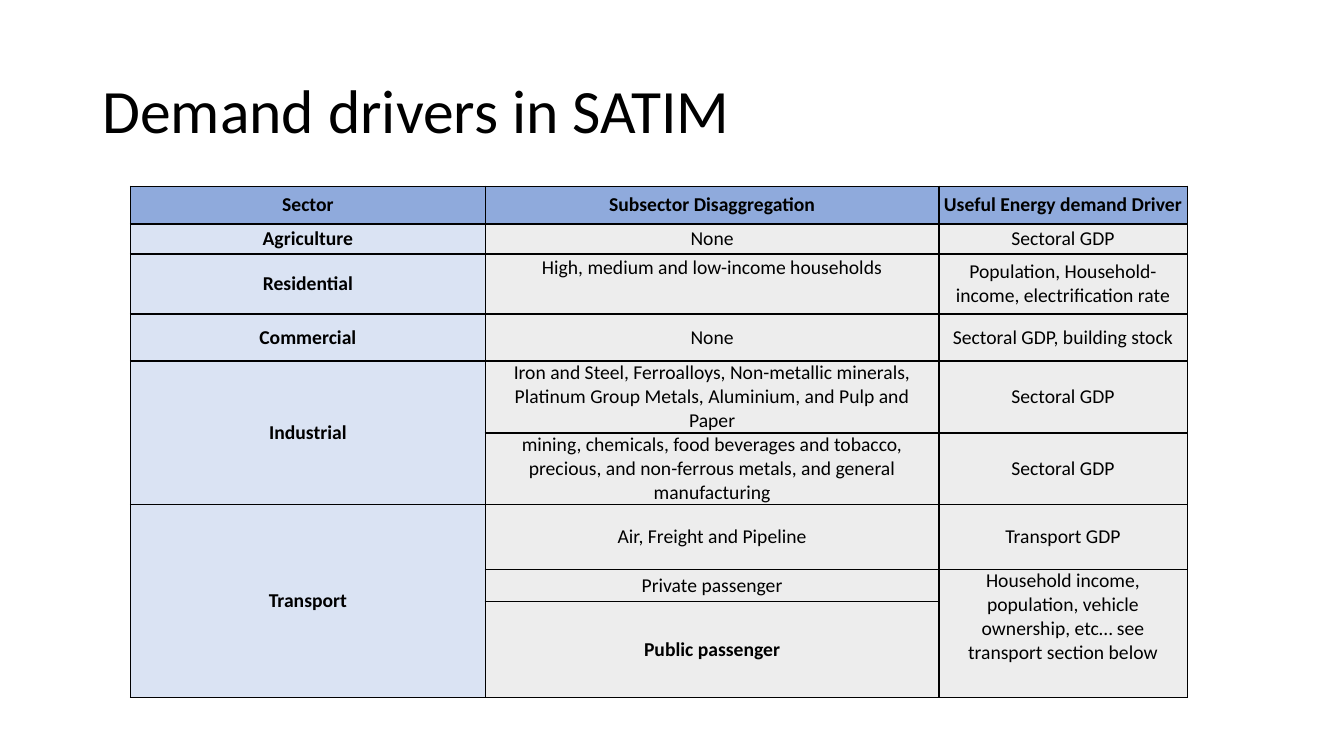
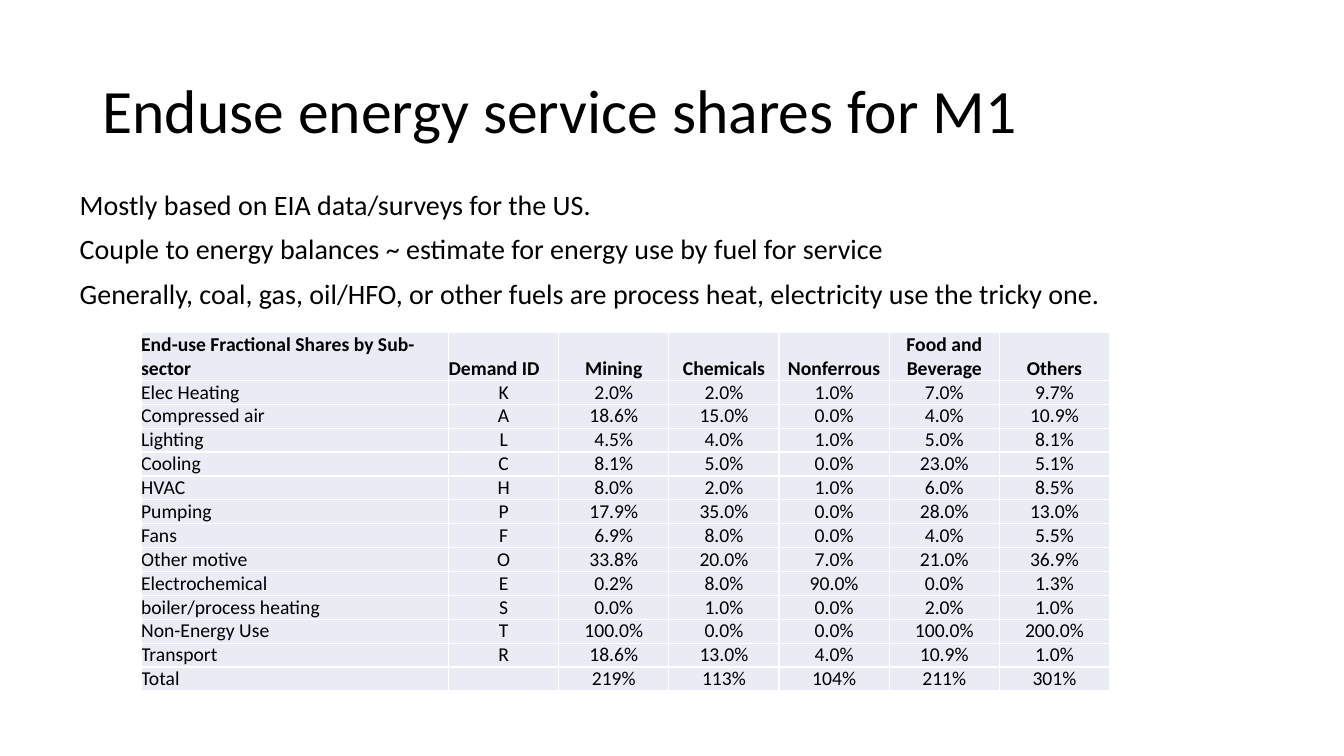
import pptx
import pptx.util
import pptx.dml.color
import pptx.enum.text
import pptx.oxml
import pptx.oxml.ns

Pt = pptx.util.Pt
ALIGN = pptx.enum.text.PP_ALIGN
ANCHOR = pptx.enum.text.MSO_ANCHOR

# Shared style
FONT = "Calibri"
COLORS = {
    "text": "000000",
    "header": "8FAADC",
    "sector": "DAE3F3",
    "detail": "EDEDED",
    "share": "E9EBF5",
    "grid": "000000",
    "share_grid": "FFFFFF",
}
TITLE_BOX = (66, 28.8, 828, 104.4)
TITLE_SIZE, BODY_SIZE, TABLE_SIZE = 44, 20, 14

# Slide 1 content: None marks a cell covered by the one above
DRIVERS_TITLE = "Demand drivers in SATIM"
DRIVERS = [
    ("Sector", "Subsector Disaggregation", "Useful Energy demand Driver"),
    ("Agriculture", "None", "Sectoral GDP"),
    ("Residential", "High, medium and low-income households",
     "Population, Household-income, electriﬁcation rate"),
    ("Commercial", "None", "Sectoral GDP, building stock"),
    ("Industrial",
     "Iron and Steel, Ferroalloys, Non-metallic minerals, Platinum Group Metals, "
     "Aluminium, and Pulp and Paper", "Sectoral GDP"),
    (None,
     "mining, chemicals, food beverages and tobacco, precious, and non-ferrous metals, "
     "and general manufacturing", "Sectoral GDP"),
    ("Transport", "Air, Freight and Pipeline", "Transport GDP"),
    (None, "Private passenger",
     "Household income, population, vehicle ownership, etc… see transport section below"),
    (None, "Public passenger", None),
]
DRIVER_COLS = [253.5, 324, 177.3]
DRIVER_ROWS = [27, 21.5, 42.8, 33.7, 51.4, 51, 46.2, 23, 68.5]
TOP_ANCHORED = {(2, 1): 1.3, (7, 2): 0}  # (row, column): top margin

# Slide 2 content
SHARES_TITLE = "Enduse energy service shares for M1"
SHARES_NOTES = [
    "Mostly based on EIA data/surveys for the US.",
    "Couple to energy balances ~ estimate for energy use by fuel for service",
    "Generally, coal, gas, oil/HFO, or other fuels are process heat, "
    "electricity use the tricky one.",
]
SHARES = [
    ("End-use Fractional Shares by Sub-sector", "Demand ID", "Mining", "Chemicals",
     "Nonferrous", "Food and Beverage", "Others"),
    ("Elec Heating", "K", "2.0%", "2.0%", "1.0%", "7.0%", "9.7%"),
    ("Compressed air", "A", "18.6%", "15.0%", "0.0%", "4.0%", "10.9%"),
    ("Lighting", "L", "4.5%", "4.0%", "1.0%", "5.0%", "8.1%"),
    ("Cooling", "C", "8.1%", "5.0%", "0.0%", "23.0%", "5.1%"),
    ("HVAC", "H", "8.0%", "2.0%", "1.0%", "6.0%", "8.5%"),
    ("Pumping", "P", "17.9%", "35.0%", "0.0%", "28.0%", "13.0%"),
    ("Fans", "F", "6.9%", "8.0%", "0.0%", "4.0%", "5.5%"),
    ("Other motive", "O", "33.8%", "20.0%", "7.0%", "21.0%", "36.9%"),
    ("Electrochemical", "E", "0.2%", "8.0%", "90.0%", "0.0%", "1.3%"),
    ("boiler/process heating", "S", "0.0%", "1.0%", "0.0%", "2.0%", "1.0%"),
    ("Non-Energy Use", "T", "100.0%", "0.0%", "0.0%", "100.0%", "200.0%"),
    ("Transport", "R", "18.6%", "13.0%", "4.0%", "10.9%", "1.0%"),
    ("Total", "", "219%", "113%", "104%", "211%", "301%"),
]
SHARE_COLS = [219.6] + [78.7] * 6
SHARE_ROWS = [34] + [17] * (len(SHARES) - 1)


def rgb(name):
    return pptx.dml.color.RGBColor.from_string(COLORS[name])


def style(paragraph, size, align=ALIGN.LEFT, bold=False):
    paragraph.alignment = align
    font = paragraph.font
    font.name, font.size, font.bold = FONT, Pt(size), bold
    font.color.rgb = rgb("text")


def place(placeholder, box):
    placeholder.left, placeholder.top, placeholder.width, placeholder.height = map(Pt, box)
    placeholder.text_frame.auto_size = pptx.enum.text.MSO_AUTO_SIZE.NONE


def add_slide(prs, layout, title):
    slide = prs.slides.add_slide(prs.slide_layouts[layout])
    heading = slide.shapes.title
    place(heading, TITLE_BOX)
    heading.text_frame.text = title
    heading.text_frame.vertical_anchor = ANCHOR.MIDDLE
    paragraph = heading.text_frame.paragraphs[0]
    style(paragraph, TITLE_SIZE)
    paragraph.line_spacing = 0.9
    return slide


def add_notes_list(placeholder, lines, box):
    place(placeholder, box)
    placeholder.text_frame.text = "\n".join(lines)
    for paragraph in placeholder.text_frame.paragraphs:
        style(paragraph, BODY_SIZE)
        paragraph.line_spacing = 0.9
        paragraph.space_before = Pt(10)
        props = paragraph._p.get_or_add_pPr()
        props.set("marL", "0")
        props.set("indent", "0")
        bullet = pptx.oxml.parse_xml(f'<a:buNone {pptx.oxml.ns.nsdecls("a")}/>')
        props.find(pptx.oxml.ns.qn("a:defRPr")).addprevious(bullet)


def add_borders(cell, color):
    props = cell._tc.get_or_add_tcPr()
    for index, side in enumerate(("lnL", "lnR", "lnT", "lnB")):
        props.insert(index, pptx.oxml.parse_xml(
            f'<a:{side} {pptx.oxml.ns.nsdecls("a")} w="{Pt(1)}"><a:solidFill>'
            f'<a:srgbClr val="{COLORS[color]}"/></a:solidFill></a:{side}>'))


def add_grid(slide, content, left, top, cols, rows, side_margin, grid_color, look):
    """look(row, column) gives fill, alignment, bold and anchor of a cell."""
    table = slide.shapes.add_table(len(rows), len(cols), Pt(left), Pt(top),
                                   Pt(sum(cols)), Pt(sum(rows))).table
    table.first_row = table.horz_banding = False
    for column, width in zip(table.columns, cols):
        column.width = Pt(width)
    for row, height in zip(table.rows, rows):
        row.height = Pt(height)
    for r, line in enumerate(content):
        for c, text in enumerate(line):
            cell = table.cell(r, c)
            fill, align, bold, anchor = look(r, c)
            cell.fill.solid()
            cell.fill.fore_color.rgb = rgb(fill)
            add_borders(cell, grid_color)
            cell.margin_left = cell.margin_right = Pt(side_margin)
            cell.margin_top = cell.margin_bottom = 0
            cell.vertical_anchor = anchor
            cell.text_frame.text = text or ""
            paragraph = cell.text_frame.paragraphs[0]
            style(paragraph, TABLE_SIZE, align, bold)
            if not text:  # keeps an empty cell from stretching its row
                paragraph._p.append(pptx.oxml.parse_xml(
                    f'<a:endParaRPr {pptx.oxml.ns.nsdecls("a")} sz="{TABLE_SIZE * 100}"/>'))
    return table


def merge_covered(table, content):
    for c in range(len(content[0])):
        start = 0
        for r in range(1, len(content) + 1):
            if r == len(content) or content[r][c] is not None:
                if r - start > 1:
                    table.cell(start, c).merge(table.cell(r - 1, c))
                start = r


def driver_look(r, c):
    fill = "header" if r == 0 else "sector" if c == 0 else "detail"
    bold = r == 0 or c == 0 or DRIVERS[r][c] == "Public passenger"
    anchor = ANCHOR.TOP if (r, c) in TOP_ANCHORED else ANCHOR.MIDDLE
    return fill, ALIGN.CENTER, bold, anchor


def share_look(r, c):
    at_left = c == 0 or (r, c) == (0, 1)
    return "share", ALIGN.LEFT if at_left else ALIGN.CENTER, r == 0, ANCHOR.BOTTOM


def main():
    prs = pptx.Presentation()
    prs.slide_width, prs.slide_height = Pt(960), Pt(540)

    # Slide 1: drivers by sector
    drivers = add_slide(prs, 5, DRIVERS_TITLE)
    table = add_grid(drivers, DRIVERS, 93.2, 133, DRIVER_COLS, DRIVER_ROWS, 3.5,
                     "grid", driver_look)
    merge_covered(table, DRIVERS)
    for (r, c), margin in TOP_ANCHORED.items():
        table.cell(r, c).margin_top = Pt(margin)

    # Slide 2: shares by end use
    shares = add_slide(prs, 1, SHARES_TITLE)
    add_notes_list(shares.placeholders[1], SHARES_NOTES, (49.7, 133.2, 828, 342.7))
    add_grid(shares, SHARES, 100.8, 237.6, SHARE_COLS, SHARE_ROWS, 0,
             "share_grid", share_look)

    prs.save("out.pptx")


if __name__ == "__main__":
    main()
